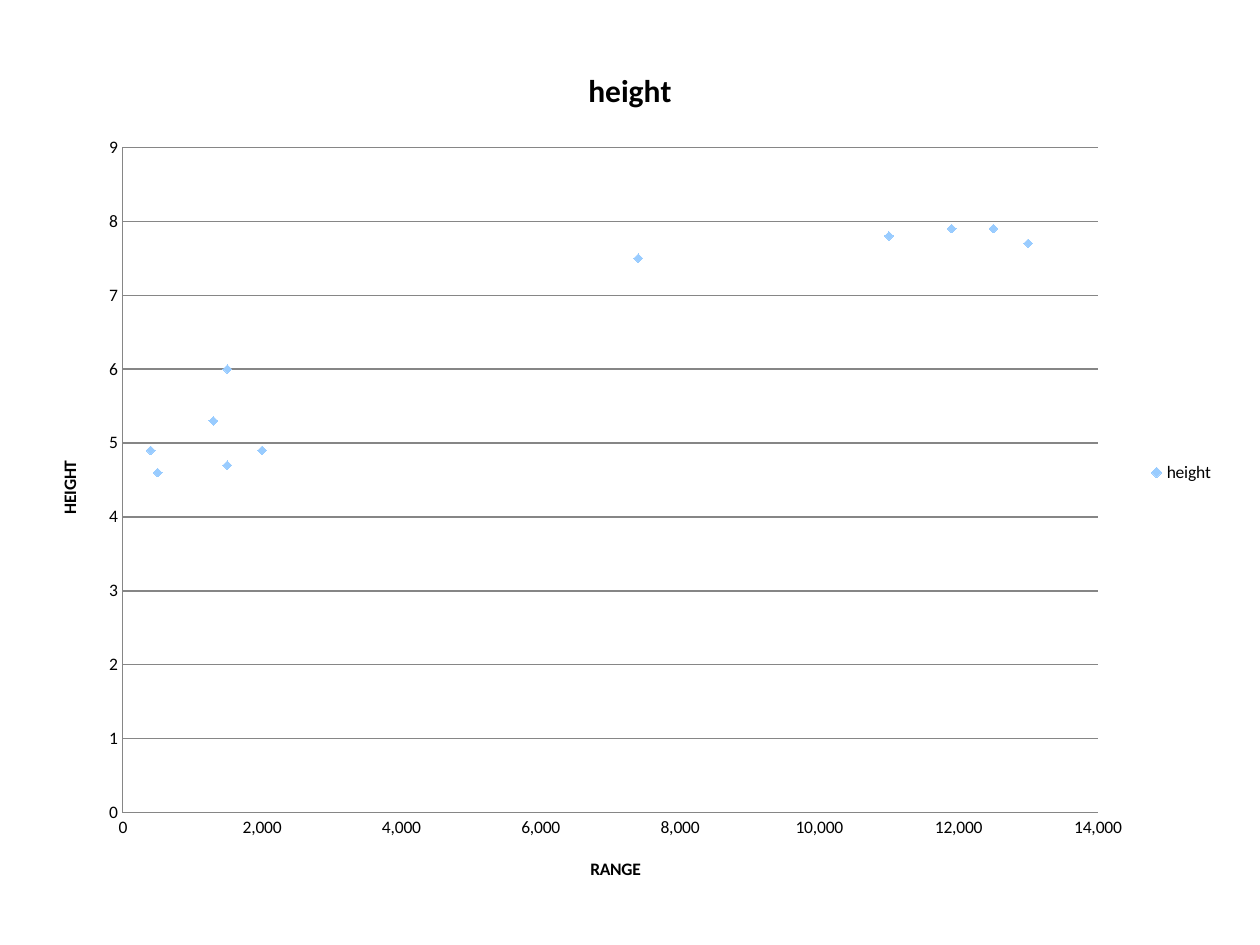
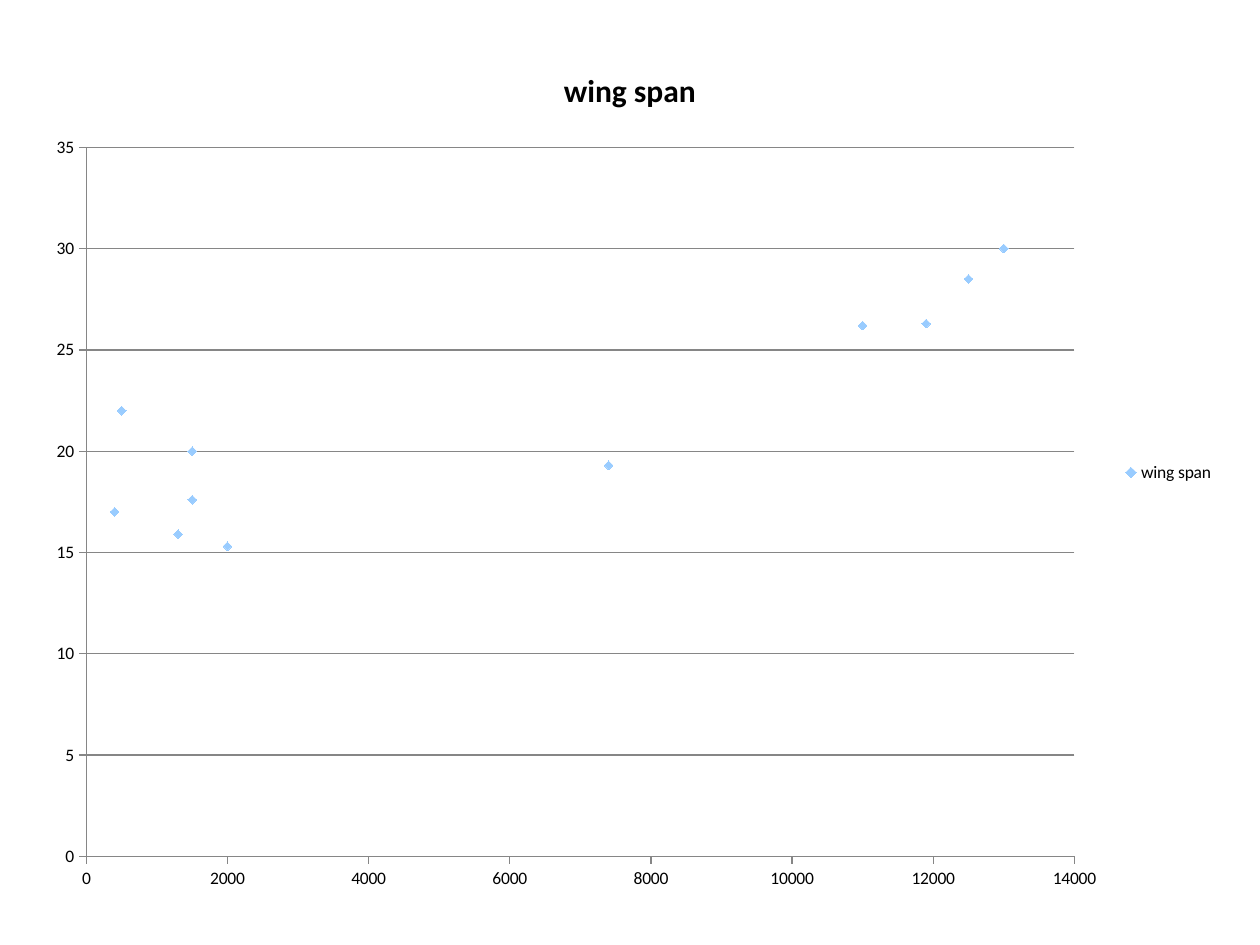
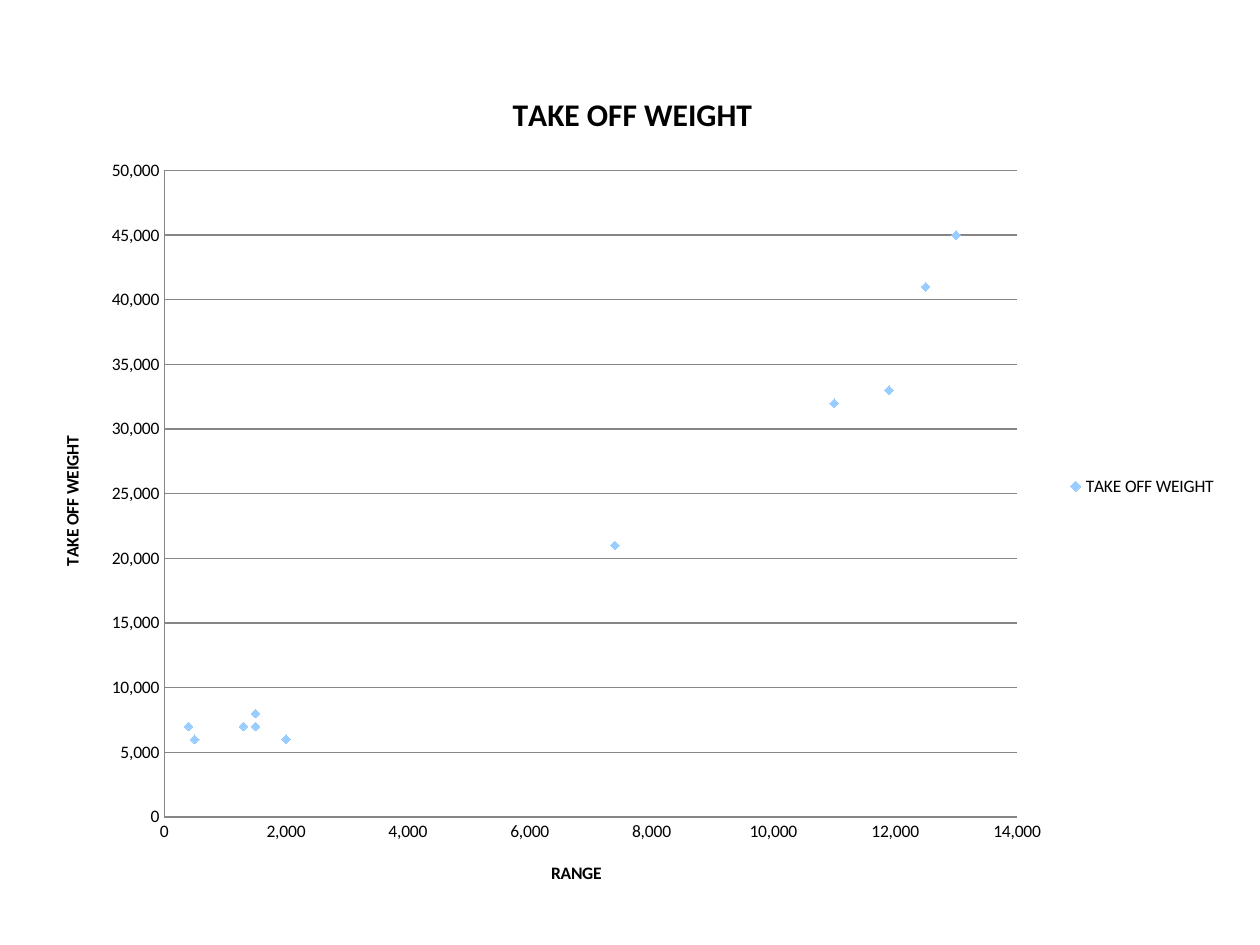
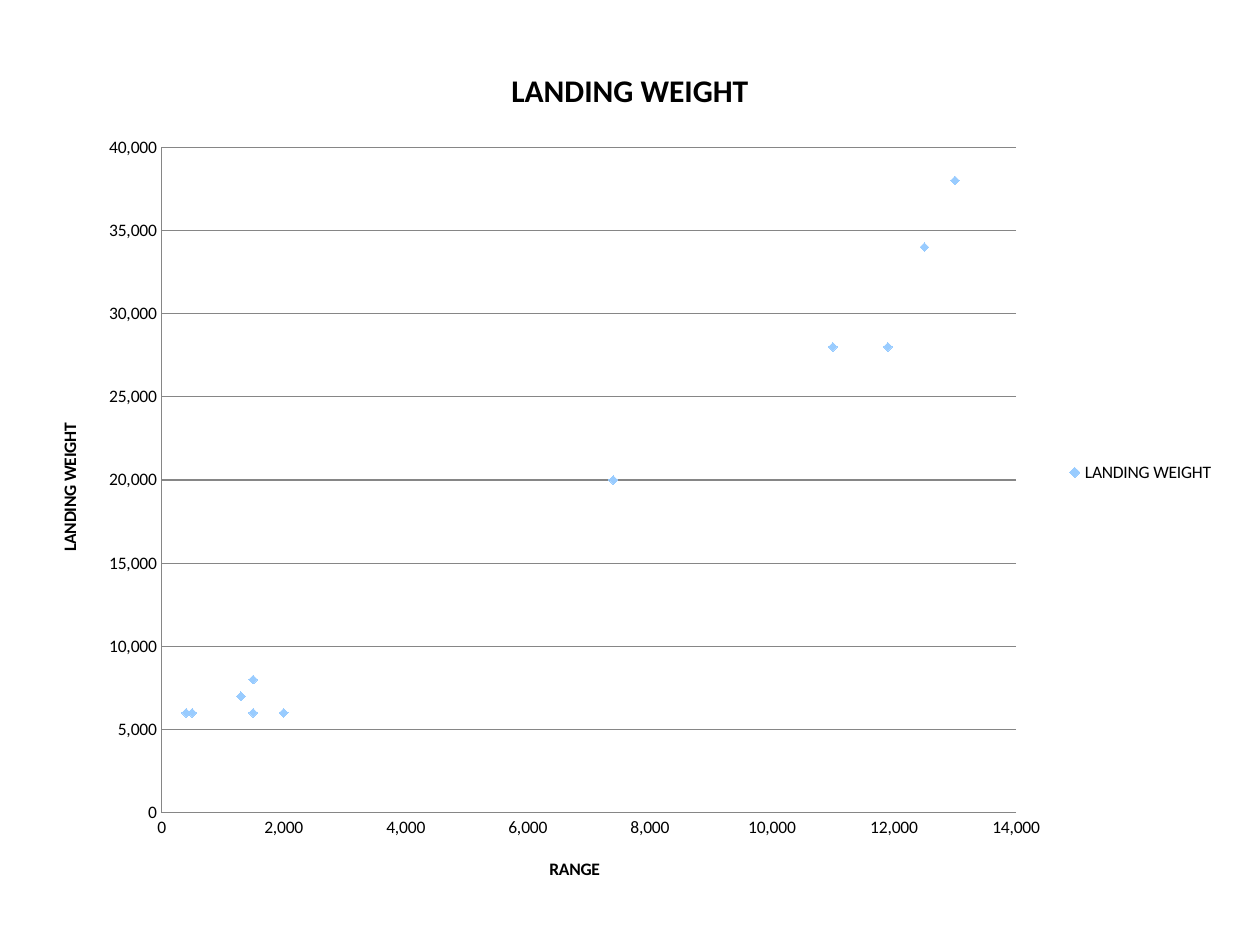
from pptx import Presentation
from pptx.chart.data import XyChartData
from pptx.dml.color import RGBColor
from pptx.enum.chart import (XL_CHART_TYPE, XL_LEGEND_POSITION,
                             XL_MARKER_STYLE, XL_TICK_MARK)
from pptx.util import Inches, Pt

SCATTER = XL_CHART_TYPE.XY_SCATTER
RIGHT = XL_LEGEND_POSITION.RIGHT
DIAMOND = XL_MARKER_STYLE.DIAMOND
NONE, OUT = XL_TICK_MARK.NONE, XL_TICK_MARK.OUTSIDE

FONT, INK, RULE, DOT = "Calibri", "000000", "868686", "99CCFF"
WIDE = (0.26, 0.31, 9.48, 6.88)
LOW = (0.28, 0.5, 9.48, 6.72)
PLAIN, COMMA = "General", "#,##0"

RANGES = [1500, None, 1500, 12500, 13000, 11000, 11900, 7400,
          500, 400, 2000, 1300]
CHARTS = [
    {"name": "height", "box": WIDE, "titles": ("RANGE", "HEIGHT"),
     "forms": (COMMA, PLAIN), "tick": NONE, "x": RANGES,
     "y": [4.7, None, 6, 7.9, 7.7, 7.8, 7.9, 7.5, 4.6, 4.9, 4.9, 5.3]},
    {"name": "wing span", "box": WIDE, "titles": (None, None),
     "forms": (PLAIN, PLAIN), "tick": OUT, "x": [None] + RANGES,
     "y": [None, 17.6, None, 20, 28.5, 30, 26.2, 26.3, 19.3,
           22, 17, 15.3, 15.9]},
    {"name": "TAKE OFF WEIGHT", "box": LOW,
     "titles": ("RANGE", "TAKE OFF WEIGHT"),
     "forms": (COMMA, COMMA), "tick": NONE, "x": RANGES,
     "y": [8000, None, 7000, 41000, 45000, 32000, 33000, 21000,
           6000, 7000, 6000, 7000]},
    {"name": "LANDING WEIGHT", "box": WIDE,
     "titles": ("RANGE", "LANDING WEIGHT"),
     "forms": (COMMA, COMMA), "tick": NONE, "x": RANGES,
     "y": [8000, None, 6000, 34000, 38000, 28000, 28000, 20000,
           6000, 6000, 6000, 7000]},
]


def color(code):
    return RGBColor.from_string(code)


def style(font, size, bold=False):
    font.name, font.size, font.bold = FONT, Pt(size), bold
    font.color.rgb = color(INK)


def stroke(line):
    line.width = Pt(0.75)
    line.color.rgb = color(RULE)


def label(owner, text, size):
    frame = owner.text_frame
    frame.text = text
    style(frame.paragraphs[0].font, size, True)


def set_axis(axis, title, form, tick):
    axis.has_title = title is not None
    if title:
        label(axis.axis_title, title, 10)
    axis.major_tick_mark = tick
    axis.minor_tick_mark = NONE
    axis.tick_labels.number_format = form
    axis.tick_labels.number_format_is_linked = False
    stroke(axis.format.line)


def add_plot(slide, item):
    data = XyChartData()
    points = data.add_series(item["name"])
    for x, y in zip(item["x"], item["y"]):
        points.add_data_point(x, y)
    box = [Inches(n) for n in item["box"]]
    chart = slide.shapes.add_chart(SCATTER, *box, data).chart
    style(chart.font, 10)
    chart.has_title = True
    label(chart.chart_title, item["name"], 18)
    chart.chart_title.include_in_layout = False
    chart.has_legend = True
    chart.legend.position = RIGHT
    chart.legend.include_in_layout = False

    axes = chart.category_axis, chart.value_axis
    for axis, title, form in zip(axes, item["titles"], item["forms"]):
        set_axis(axis, title, form, item["tick"])
    axes[0].has_major_gridlines = False
    axes[1].has_major_gridlines = True
    stroke(axes[1].major_gridlines.format.line)

    plot = chart.plots[0]
    plot.vary_by_categories = False
    series = plot.series[0]
    series.smooth = False
    series.format.line.fill.background()
    mark = series.marker
    mark.style, mark.size = DIAMOND, 5
    mark.format.fill.solid()
    mark.format.fill.fore_color.rgb = color(DOT)
    mark.format.line.color.rgb = color(DOT)


deck = Presentation()
deck.slide_width, deck.slide_height = Inches(10), Inches(7.5)
for item in CHARTS:
    add_plot(deck.slides.add_slide(deck.slide_layouts[6]), item)
deck.save("out.pptx")
